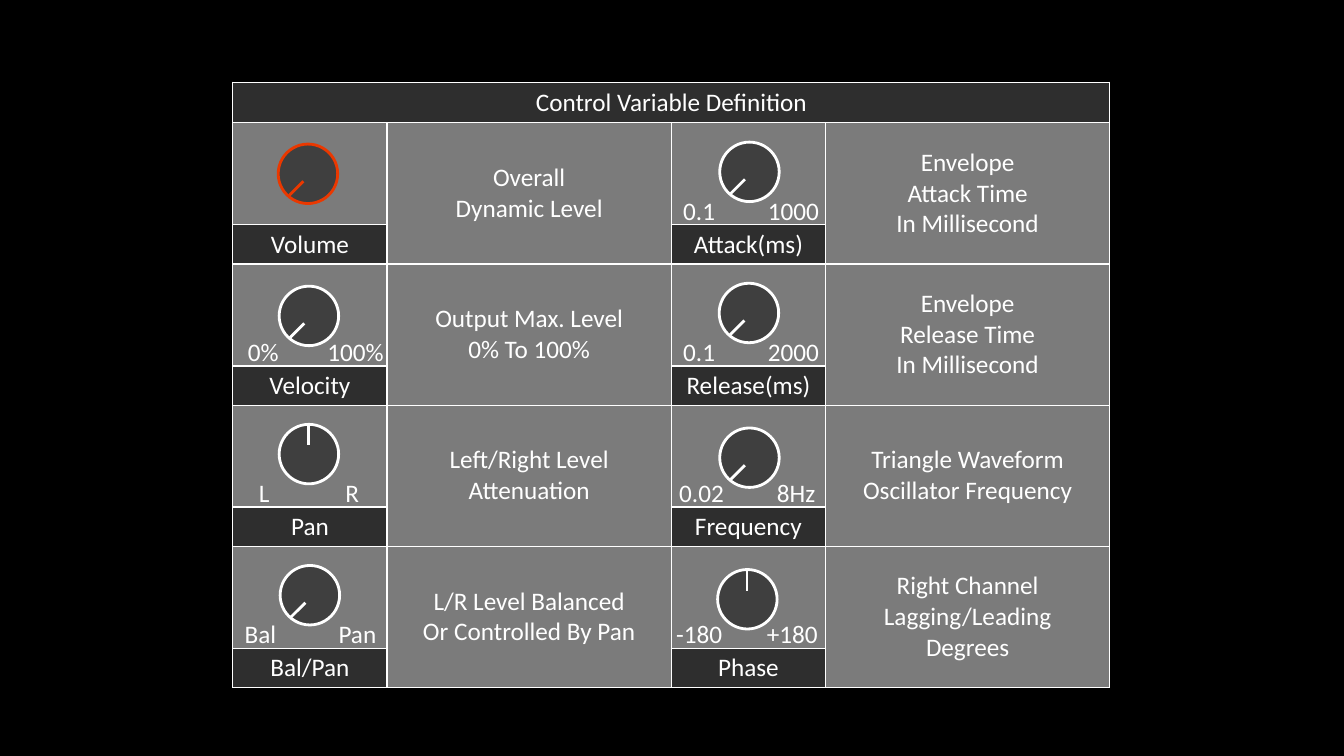
from dataclasses import dataclass

from lxml import etree
from pptx import Presentation
from pptx import util as u
from pptx.dml import color
from pptx.enum import shapes, text
from pptx.oxml import ns


@dataclass(frozen=True)
class Theme:
    backdrop: str = "000000"
    panel: str = "7B7B7B"
    caption: str = "2E2E2E"
    dial: str = "3F3F3F"
    ink: str = "FFFFFF"
    accent: str = "EA3800"
    font: str = "Calibri"
    size: float = 18
    border: float = 1
    stroke: float = 2


def rgb(value):
    return color.RGBColor.from_string(value)


def apply(target, values):
    for name, value in values.items():
        setattr(target, name, value)


class Panel:
    def __init__(self, page, theme):
        self.page = page
        self.theme = theme
        page.background.fill.solid()
        page.background.fill.fore_color.rgb = rgb(theme.backdrop)

    def fill_text(self, frame, lines, align):
        for index, line in enumerate(lines):
            para = frame.add_paragraph() if index else frame.paragraphs[0]
            para.alignment = align
            span = para.add_run()
            span.text = line
            apply(span.font, {"name": self.theme.font, "size": u.Pt(self.theme.size)})
            span.font.color.rgb = rgb(self.theme.ink)

    def border(self, cell):
        properties = cell._tc.get_or_add_tcPr()
        for index, side in enumerate(("lnL", "lnR", "lnT", "lnB")):
            line = etree.Element(ns.qn(f"a:{side}"), w=str(u.Pt(self.theme.border)))
            fill = etree.SubElement(line, ns.qn("a:solidFill"))
            etree.SubElement(fill, ns.qn("a:srgbClr"), val=self.theme.ink)
            properties.insert(index, line)

    def table(self, left, top, width, rows):
        total = sum(height for height, _, _ in rows)
        table = self.page.shapes.add_table(
            len(rows), 1, u.Pt(left), u.Pt(top), u.Pt(width), u.Pt(total)).table
        apply(table, {"first_row": False, "horz_banding": False})
        for index, (height, fill, lines) in enumerate(rows):
            table.rows[index].height = u.Pt(height)
            cell = table.cell(index, 0)
            apply(cell, {"margin_top": 0, "margin_bottom": 0,
                         "vertical_anchor": text.MSO_ANCHOR.MIDDLE})
            cell.fill.solid()
            cell.fill.fore_color.rgb = rgb(fill)
            self.border(cell)
            self.fill_text(cell.text_frame, lines, text.PP_ALIGN.CENTER)

    def outline(self, line, ink):
        line.color.rgb = rgb(ink)
        line.width = u.Pt(self.theme.stroke)

    def dial(self, group, left, top, pointer, ink):
        circle = group.shapes.add_shape(
            shapes.MSO_SHAPE.OVAL, u.Pt(left), u.Pt(top), u.Pt(DIAL), u.Pt(DIAL))
        circle.shadow.inherit = False
        circle.fill.solid()
        circle.fill.fore_color.rgb = rgb(self.theme.dial)
        self.outline(circle.line, ink)
        x1, y1, x2, y2 = pointer
        needle = group.shapes.add_connector(
            shapes.MSO_CONNECTOR.STRAIGHT,
            u.Pt(left + x1), u.Pt(top + y1), u.Pt(left + x2), u.Pt(top + y2))
        self.outline(needle.line, ink)
        etree.SubElement(needle._element.spPr, ns.qn("a:effectLst"))

    def label(self, group, left, top, width, words):
        box = group.shapes.add_textbox(u.Pt(left), u.Pt(top), u.Pt(width), u.Pt(29))
        apply(box.text_frame, {"word_wrap": False,
                               "auto_size": text.MSO_AUTO_SIZE.SHAPE_TO_FIT_TEXT})
        self.fill_text(box.text_frame, [words], text.PP_ALIGN.LEFT)

    def knob(self, left, top, offset, pointer, ink, marks):
        group = self.page.shapes.add_group_shape()
        self.dial(group, left + offset[0], top + offset[1], pointer, ink)
        for words, shift, width in marks:
            self.label(group, left + shift, top + 48.2, width, words)


LEFT, TOP, PITCH = 166.3, 87.8, 100.8
KNOB_WIDTH, NOTE_WIDTH = 110.2, 203
TITLE_HEIGHT, CAPTION_HEIGHT = 29, 28
DIAL = 42.5
LOW = (7.9, 36.7, 18, 26.6)
CENTRE = (21, 1.4, 21, 15.1)

CONTROLS = [
    [
        ("Volume", ["Overall", "Dynamic Level"], (32.4, 15.1), LOW, []),
        ("Velocity", ["Output Max. Level", "0% To 100%"], (33.1, 15.8), LOW,
         [("0%", 3.6, 36.7), ("100%", 60.5, 55.4)]),
        ("Pan", ["Left/Right Level", "Attenuation"], (33.1, 13.7), CENTRE,
         [("L", 11.5, 22.3), ("R", 73.4, 24.5)]),
        ("Bal/Pan", ["L/R Level Balanced", "Or Controlled By Pan"], (33.8, 13.7), LOW,
         [("Bal", 1.4, 37.4), ("Pan", 68.4, 41.8)]),
    ],
    [
        ("Attack(ms)", ["Envelope", "Attack Time", "In Millisecond"], (34.6, 13.7), LOW,
         [("0.1", 1.4, 37.4), ("1000", 61.9, 51.1)]),
        ("Release(ms)", ["Envelope", "Release Time", "In Millisecond"], (34.2, 13.7), LOW,
         [("0.1", 1.4, 37.4), ("2000", 61.9, 51.1)]),
        ("Frequency", ["Triangle Waveform", "Oscillator Frequency"], (34.6, 16.3), LOW,
         [("0.02", -1.4, 46.8), ("8Hz", 68.4, 42.5)]),
        ("Phase", ["Right Channel", "Lagging/Leading", "Degrees"], (33.1, 16.6), CENTRE,
         [("-180", -3.6, 47.5), ("+180", 61.2, 51.1)]),
    ],
]


def main():
    deck = Presentation()
    apply(deck, {"slide_width": u.Pt(960), "slide_height": u.Pt(540)})
    theme = Theme()
    panel = Panel(deck.slides.add_slide(deck.slide_layouts[6]), theme)
    pair_width = KNOB_WIDTH + NOTE_WIDTH
    panel.table(LEFT, TOP - TITLE_HEIGHT, 2 * pair_width,
                [(TITLE_HEIGHT, theme.caption, ["Control Variable Definition"])])
    for column, controls in enumerate(CONTROLS):
        left = LEFT + column * pair_width
        for row, (name, note, offset, pointer, marks) in enumerate(controls):
            top = TOP + row * PITCH
            panel.table(left, top, KNOB_WIDTH, [
                (PITCH - CAPTION_HEIGHT, theme.panel, []),
                (CAPTION_HEIGHT, theme.caption, [name])])
            panel.table(left + KNOB_WIDTH, top, NOTE_WIDTH, [(PITCH, theme.panel, note)])
            ink = theme.accent if name == "Volume" else theme.ink
            panel.knob(left, top, offset, pointer, ink, marks)
    deck.save("out.pptx")


if __name__ == "__main__":
    main()
